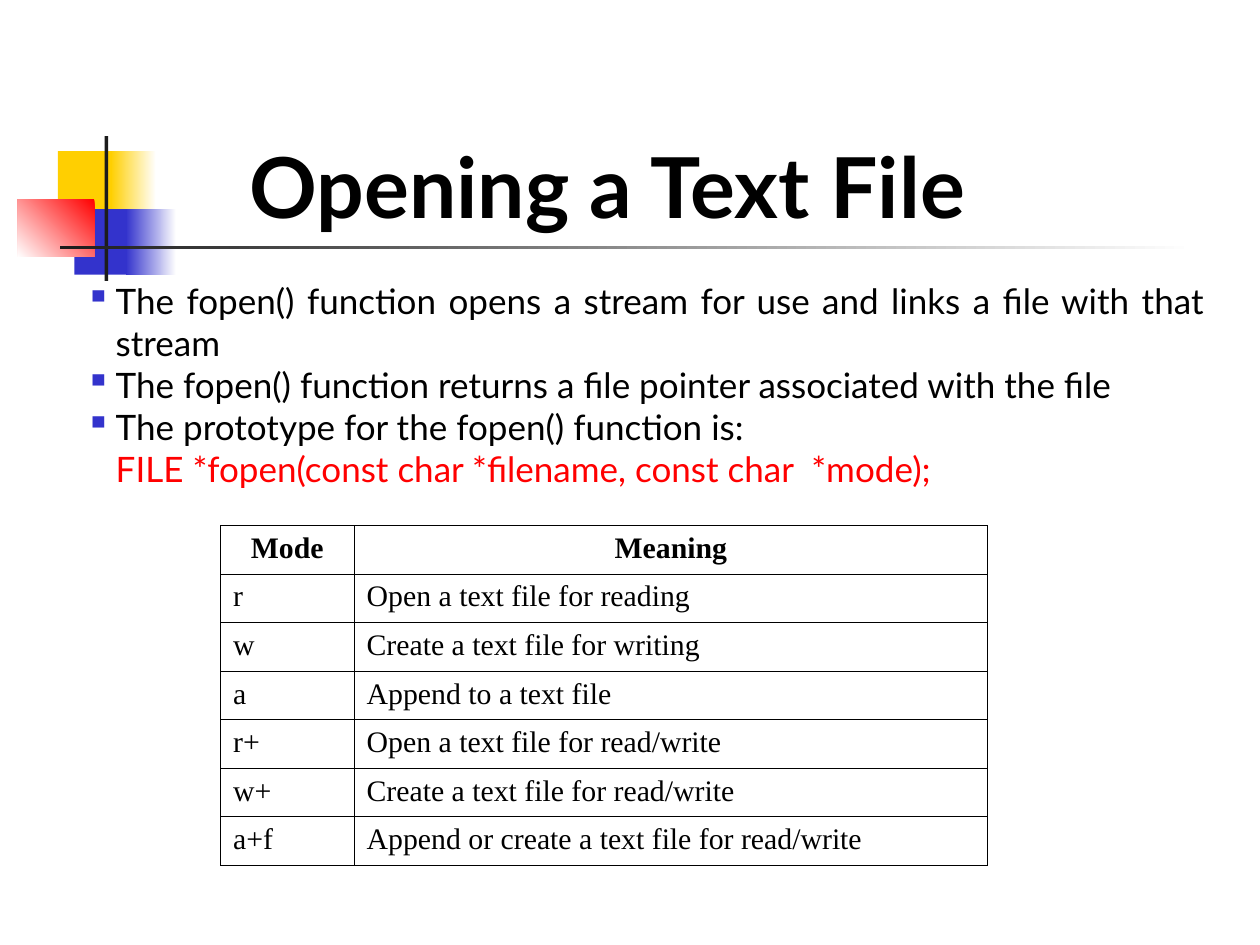
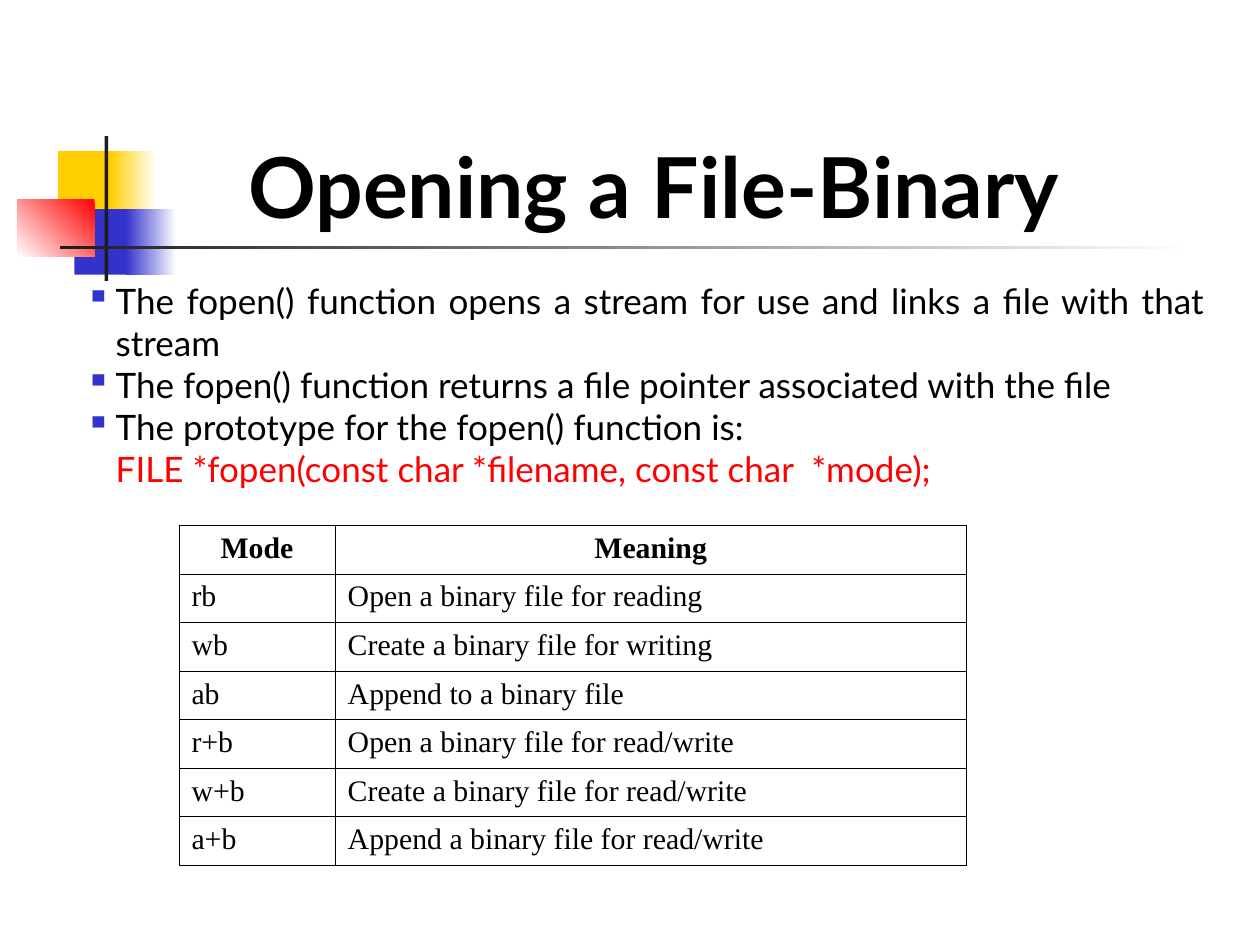
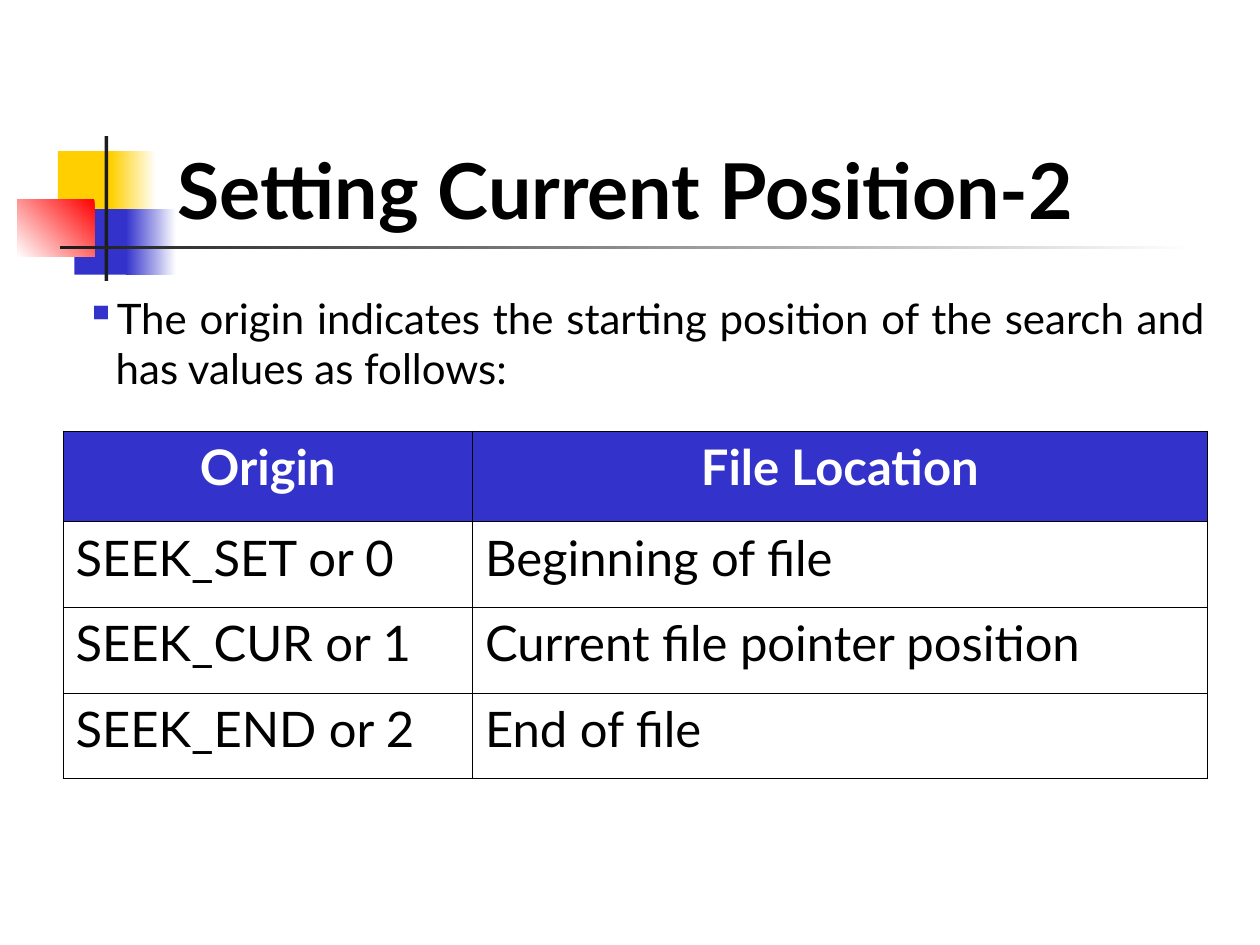
import lxml.etree
import pptx
import pptx.dml.color
import pptx.enum.shapes
import pptx.enum.text
import pptx.oxml.ns
import pptx.util

Inches = pptx.util.Inches
Pt = pptx.util.Pt
RGBColor = pptx.dml.color.RGBColor
Align = pptx.enum.text.PP_ALIGN
Anchor = pptx.enum.text.MSO_ANCHOR
qn = pptx.oxml.ns.qn

BLACK = RGBColor(0x00, 0x00, 0x00)
WHITE = RGBColor(0xFF, 0xFF, 0xFF)
GOLD = RGBColor(0xFF, 0xCF, 0x01)
BLUE = RGBColor(0x33, 0x33, 0xCC)
RED = RGBColor(0xFF, 0x00, 0x00)
DARK = RGBColor(0x1C, 0x1C, 0x1C)

SANS = "Lato"
SERIF = "Times New Roman"
HANG = Inches(0.24)

BLOCKS = [
    ((0.46, 1.2, 0.48, 0.52), [GOLD], 0),
    ((0.88, 1.2, 0.36, 0.52), [WHITE, GOLD], 180),
    ((0.59, 1.66, 0.46, 0.52), [BLUE], 0),
    ((1, 1.66, 0.4, 0.52), [WHITE, BLUE], 180),
    ((0.14, 1.58, 0.61, 0.46), [RED, WHITE], 225),
    ((0.83, 1.08, 0.03, 1.15), [DARK], 0),
    ((0.48, 1.95, 9, 0.03), [WHITE, DARK], 180),
]

FOPEN = [
    "The fopen() function opens a stream for use and links a file with that stream",
    "The fopen() function returns a file pointer associated with the file",
    "The prototype for the fopen() function is:",
]
CALL = "FILE *fopen(const char *filename, const char  *mode);"

TEXT_MODES = [
    ("Mode", "Meaning"),
    ("r", "Open a text file for reading"),
    ("w", "Create a text file for writing"),
    ("a", "Append to a text file"),
    ("r+", "Open a text file for read/write"),
    ("w+", "Create a text file for read/write"),
    ("a+f", "Append or create a text file for read/write"),
]
BIN_MODES = [
    ("Mode", "Meaning"),
    ("rb", "Open a binary file for reading"),
    ("wb", "Create a binary file for writing"),
    ("ab", "Append to a binary file"),
    ("r+b", "Open a binary file for read/write"),
    ("w+b", "Create a binary file for read/write"),
    ("a+b", "Append a binary file for read/write"),
]
ORIGINS = [
    ("Origin", "File Location"),
    ("SEEK_SET or 0", "Beginning of file"),
    ("SEEK_CUR or 1", "Current file pointer position"),
    ("SEEK_END or 2", "End of file"),
]


def style(para, name, size, color=BLACK, bold=False, align=Align.LEFT):
    para.alignment = align
    font = para.font
    font.name, font.size, font.bold = name, Pt(size), bold
    font.color.rgb = color


def add_xml(parent, tag, **attrs):
    return lxml.etree.SubElement(parent, qn(tag), **attrs)


def add_logo(slide, layout):
    for index, (box, colors, angle) in enumerate(BLOCKS):
        block = slide.shapes.add_shape(
            pptx.enum.shapes.MSO_SHAPE.RECTANGLE, *map(Inches, box))
        block.shadow.inherit = False
        block.line.fill.background()
        if len(colors) == 1:
            block.fill.solid()
            block.fill.fore_color.rgb = colors[0]
        else:
            block.fill.gradient()
            block.fill.gradient_angle = angle
            for stop, color in zip(block.fill.gradient_stops, colors):
                stop.color.rgb = color
        layout.shapes.element.insert(2 + index, block.element)


def set_title(slide, text, box, size):
    title = slide.shapes.title
    title.left, title.top, title.width, title.height = map(Inches, box)
    frame = title.text_frame
    frame.text = text
    frame.vertical_anchor = Anchor.TOP
    frame.auto_size = pptx.enum.text.MSO_AUTO_SIZE.NONE
    style(frame.paragraphs[0], SANS, size, bold=True)


def add_body(slide, box, size, points, code=None):
    frame = slide.shapes.add_textbox(*map(Inches, box)).text_frame
    frame.word_wrap = True
    lines = points + ([code] if code else [])
    for index, line in enumerate(lines):
        para = frame.add_paragraph() if index else frame.paragraphs[0]
        para.text = line
        props = para._p.get_or_add_pPr()
        props.set("marL", str(HANG))
        if line == code:
            props.set("indent", "0")
        else:
            props.set("indent", str(-HANG))
            tint = add_xml(props, "a:buClr")
            add_xml(tint, "a:srgbClr", val=str(BLUE))
            add_xml(props, "a:buChar", char="▪")
        style(para, SANS, size, RED if line == code else BLACK,
              align=Align.JUSTIFY)


def add_edges(cell):
    props = cell._tc.get_or_add_tcPr()
    for side in ("a:lnL", "a:lnR", "a:lnT", "a:lnB"):
        edge = add_xml(props, side, w=str(Pt(0.45)))
        fill = add_xml(edge, "a:solidFill")
        add_xml(fill, "a:srgbClr", val=str(BLACK))


def add_grid(slide, spot, widths, heights, rows, name, size, band=None):
    left, top = spot
    grid = slide.shapes.add_table(
        len(rows), len(widths), Inches(left), Inches(top),
        Inches(sum(widths)), Inches(sum(heights))).table
    grid.first_row = grid.horz_banding = False
    for col, width in zip(grid.columns, widths):
        col.width = Inches(width)
    for row, height in zip(grid.rows, heights):
        row.height = Inches(height)
    for r, texts in enumerate(rows):
        head = r == 0
        for c, text in enumerate(texts):
            cell = grid.cell(r, c)
            cell.text = text
            add_edges(cell)
            if head and band:
                cell.fill.solid()
                cell.fill.fore_color.rgb = band
            else:
                cell.fill.background()
            style(cell.text_frame.paragraphs[0], name, size,
                  WHITE if head and band else BLACK, head,
                  Align.CENTER if head else Align.LEFT)


def fill_modes(slide, title, box, left, widths, rows):
    set_title(slide, title, box, 48)
    add_body(slide, (0.58, 2.17, 9.08, 1.77), 20, FOPEN, CALL)
    heights = [2.7 / len(rows)] * len(rows)
    add_grid(slide, (left, 4.17), widths, heights, rows, SERIF, 17)


def fill_seek(slide):
    set_title(slide, "Setting Current Position-2", (1.31, 1.08, 8.13, 0.84), 44)
    add_body(slide, (0.58, 2.27, 9.08, 0.9), 24, [
        "The origin indicates the starting position of the search "
        "and has values as follows:"])
    add_grid(slide, (0.5, 3.42), (3.25, 5.83), [0.72] + [0.68] * 3,
             ORIGINS, SANS, 28, BLUE)


def main():
    deck = pptx.Presentation()
    deck.slide_width, deck.slide_height = Inches(10), Inches(7.5)
    layout = deck.slide_layouts[5]
    text, binary, seek = [deck.slides.add_slide(layout) for _ in range(3)]
    add_logo(text, layout)
    fill_modes(text, "Opening a Text File", (1.88, 1.02, 6.76, 0.9),
               1.75, (1.06, 5.03), TEXT_MODES)
    fill_modes(binary, "Opening a File-Binary", (1.87, 1.02, 7.35, 0.9),
               1.42, (1.24, 5.01), BIN_MODES)
    fill_seek(seek)
    deck.save("out.pptx")


if __name__ == "__main__":
    main()
